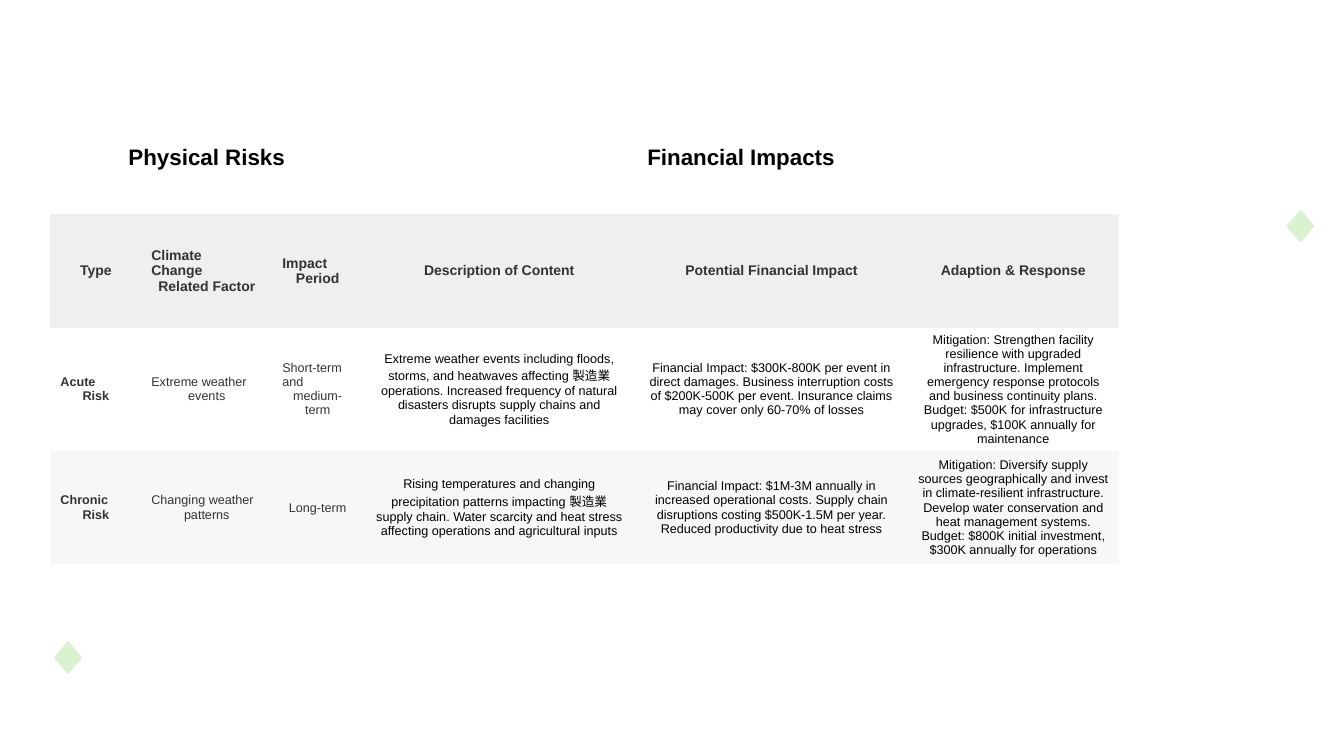
from lxml import etree
from pptx import Presentation
from pptx import util as u
from pptx.dml.color import RGBColor
from pptx.enum import shapes, text
from pptx.oxml.ns import qn

COLORS = {"black": "000000", "gray": "333333", "white": "FFFFFF",
          "header": "EFEFEF", "band": "F7F7F7", "mint": "D9F2D0"}
NO_GRID_STYLE = "{2D5ABB26-0587-4C30-8999-92F81FD0307C}"


class RiskSlide:
    """Holds the style and the current slide."""
    font = "Arial"

    def __init__(self, deck):
        self.slide = deck.slides.add_slide(deck.slide_layouts[6])

    @staticmethod
    def color(name):
        return RGBColor.from_string(COLORS[name])

    def ornament(self, kind, left, top, width, height):
        ornament = self.slide.shapes.add_shape(
            kind, u.Cm(left), u.Cm(top), u.Cm(width), u.Cm(height))
        ornament.shadow.inherit = False
        return ornament

    def arc(self, box, rotation, angles, line_width, opacity):
        arc = self.ornament(shapes.MSO_SHAPE.ARC, *box)
        arc.rotation = rotation
        for i, degrees in enumerate(angles):
            arc.adjustments[i] = degrees * 0.6
        arc.fill.background()
        arc.line.width = u.Pt(line_width)
        arc.line.color.rgb = self.color("mint")
        tint = arc.line._ln.find(".//" + qn("a:srgbClr"))
        etree.SubElement(tint, qn("a:alpha"), val=str(opacity * 1000))

    def diamond(self, left, top):
        diamond = self.ornament(shapes.MSO_SHAPE.DIAMOND, left, top, 0.79, 0.94)
        diamond.fill.solid()
        diamond.fill.fore_color.rgb = self.color("mint")
        diamond.line.color.rgb = self.color("white")
        diamond.line.width = u.Pt(1.5)

    def table(self, left, top, col_widths, row_height, row_count):
        frame = self.slide.shapes.add_table(
            row_count, len(col_widths), u.Cm(left), u.Cm(top),
            u.Cm(sum(col_widths)), u.Cm(row_height * row_count))
        table = frame.table
        table.first_row = table.horz_banding = False
        table._tbl.tblPr.find(qn("a:tableStyleId")).text = NO_GRID_STYLE
        for column, width in zip(table.columns, col_widths):
            column.width = u.Cm(width)
        for row in table.rows:
            row.height = u.Cm(row_height)
        return table

    def cell(self, cell, words, fill, size, color, bold):
        cell.fill.solid()
        cell.fill.fore_color.rgb = self.color(fill)
        cell.vertical_anchor = text.MSO_ANCHOR.MIDDLE
        paragraph = cell.text_frame.paragraphs[0]
        paragraph.alignment = text.PP_ALIGN.CENTER
        paragraph.add_run().text = words
        font = paragraph.font
        font.name, font.size, font.bold = self.font, u.Pt(size), bold
        font.color.rgb = self.color(color)


GROUPS = ["Physical Risks", "Financial Impacts"]
HEADINGS = ["Type", "Climate\nChange\nRelated Factor", "Impact\nPeriod",
            "Description of Content", "Potential Financial Impact",
            "Adaption & Response"]
RISKS = [
    ["Acute\nRisk", "Extreme weather\nevents", "Short-term\nand\nmedium-term",
     "Extreme weather events including floods, storms, and heatwaves affecting "
     "製造業 operations. Increased frequency of natural disasters disrupts "
     "supply chains and damages facilities",
     "Financial Impact: $300K-800K per event in direct damages. Business "
     "interruption costs of $200K-500K per event. Insurance claims may cover "
     "only 60-70% of losses",
     "Mitigation: Strengthen facility resilience with upgraded infrastructure. "
     "Implement emergency response protocols and business continuity plans. "
     "Budget: $500K for infrastructure upgrades, $100K annually for maintenance"],
    ["Chronic\nRisk", "Changing weather\npatterns", "Long-term",
     "Rising temperatures and changing precipitation patterns impacting "
     "製造業 supply chain. Water scarcity and heat stress affecting operations "
     "and agricultural inputs",
     "Financial Impact: $1M-3M annually in increased operational costs. Supply "
     "chain disruptions costing $500K-1.5M per year. Reduced productivity due "
     "to heat stress",
     "Mitigation: Diversify supply sources geographically and invest in "
     "climate-resilient infrastructure. Develop water conservation and heat "
     "management systems. Budget: $800K initial investment, $300K annually for "
     "operations"],
]


def main():
    deck = Presentation()
    deck.slide_width, deck.slide_height = u.Cm(33.87), u.Cm(19.05)
    page = RiskSlide(deck)

    # Corner ornaments
    page.arc((27.69, -8.59, 10.16, 12.62), 151.3, (152.05, 215.37), 46.25, 60)
    page.diamond(32.38, 5.23)
    page.diamond(1.32, 16.1)

    # Risk table
    risks = page.table(1.27, 2.54, [2.29, 3.3, 2.29, 6.86, 6.86, 5.33], 2.86, 4)

    # Group titles, each over three columns
    for i, group in enumerate(GROUPS):
        title = risks.cell(0, 3 * i)
        title.merge(risks.cell(0, 3 * i + 2))
        page.cell(title, group, "white", 16, "black", True)

    # Column headings
    for col, heading in enumerate(HEADINGS):
        page.cell(risks.cell(1, col), heading, "header", 10, "gray", True)

    # Risk rows: gray labels first, then black descriptions
    for row, (risk, fill) in enumerate(zip(RISKS, ["white", "band"]), start=2):
        for col, words in enumerate(risk):
            page.cell(risks.cell(row, col), words, fill, 9,
                      "gray" if col < 3 else "black", col == 0)

    deck.save("out.pptx")


if __name__ == "__main__":
    main()
